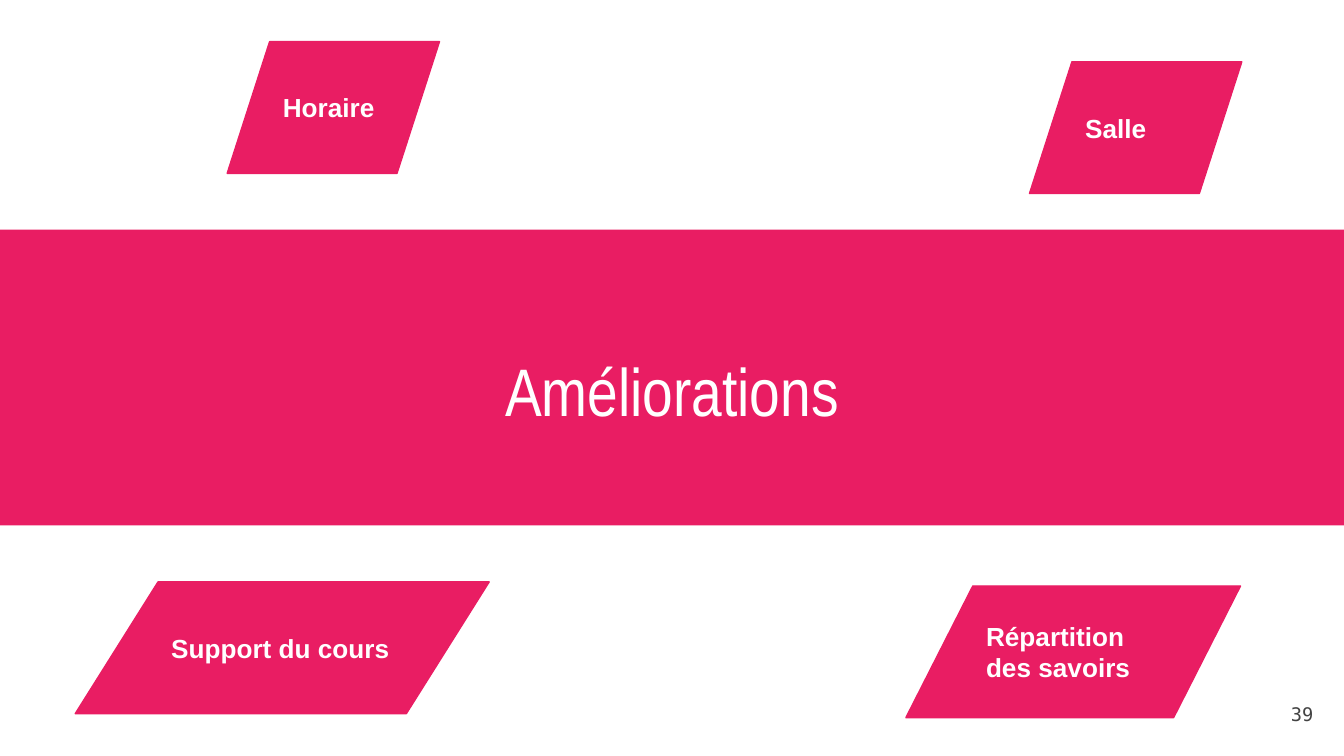
from pptx import Presentation
from pptx.dml.color import RGBColor
from pptx.enum.shapes import MSO_SHAPE as Shape
from pptx.enum.text import MSO_ANCHOR as Anchor, PP_ALIGN as Align
from pptx.util import Inches, Pt

TITLE = "Améliorations"
PAGE_NUMBER = "39"
TOPICS = [
    ("Horaire", 1.69, 0.31, 1.58),
    ("Salle", 7.66, 0.46, 1.58),
    ("Support du cours", 0.56, 4.33, 3.08),
    ("Répartition des savoirs", 6.74, 4.36, 2.49),
]
TOPIC_HEIGHT = 0.98
SLIDE_WIDTH = 10
SLIDE_HEIGHT = SLIDE_WIDTH * 9 / 16

THEME = {
    "accent": RGBColor.from_string("E91D63"),
    "title": ("Arial Narrow", 36, "FFFFFF", False),
    "topic": ("Arial", 14, "FFFFFF", True),
    "page": ("DejaVu Sans Mono", 10, "424242", False),
}


def write(shape, text, style, alignment):
    frame = shape.text_frame
    frame.word_wrap = True
    frame.vertical_anchor = Anchor.MIDDLE
    frame.margin_left = frame.margin_right = Inches(0.1)
    frame.margin_top = frame.margin_bottom = Inches(0.1)
    frame.text = text
    paragraph = frame.paragraphs[0]
    paragraph.alignment = alignment
    font = paragraph.runs[0].font
    font.name, size, color, font.bold = THEME[style]
    font.size = Pt(size)
    font.color.rgb = RGBColor.from_string(color)


def add_filled(slide, kind, left, top, width, height):
    shape = slide.shapes.add_shape(kind, *map(Inches, (left, top, width, height)))
    shape.shadow.inherit = False
    shape.fill.solid()
    shape.fill.fore_color.rgb = THEME["accent"]
    return shape


def add_text(slide, box, text, style, alignment):
    write(slide.shapes.add_textbox(*map(Inches, box)), text, style, alignment)


def main():
    presentation = Presentation()
    presentation.slide_width = Inches(SLIDE_WIDTH)
    presentation.slide_height = Inches(SLIDE_HEIGHT)
    slide = presentation.slides.add_slide(presentation.slide_layouts[6])

    band = add_filled(slide, Shape.RECTANGLE, 0, 1.71, SLIDE_WIDTH, 2.2)
    band.line.fill.background()
    add_text(slide, (0.47, 2.07, 9.06, 1.66), TITLE, "title", Align.CENTER)

    for label, left, top, width in TOPICS:
        topic = add_filled(slide, Shape.FLOWCHART_DATA, left, top, width, TOPIC_HEIGHT)
        topic.line.color.rgb = THEME["accent"]
        topic.line.width = Pt(0.75)
        write(topic, label, "topic", Align.LEFT)

    add_text(slide, (9.27, 5.1, 0.6, 0.43), PAGE_NUMBER, "page", Align.RIGHT)
    presentation.save("out.pptx")


if __name__ == "__main__":
    main()
